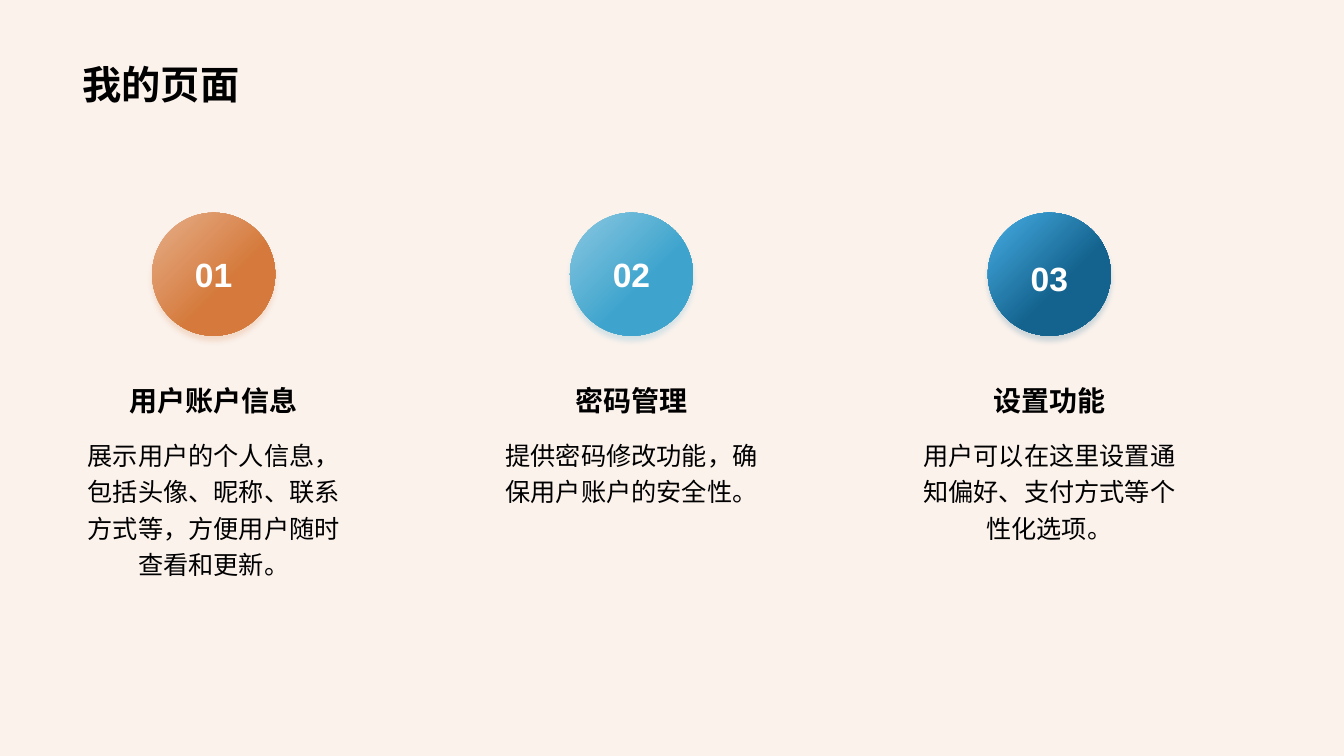
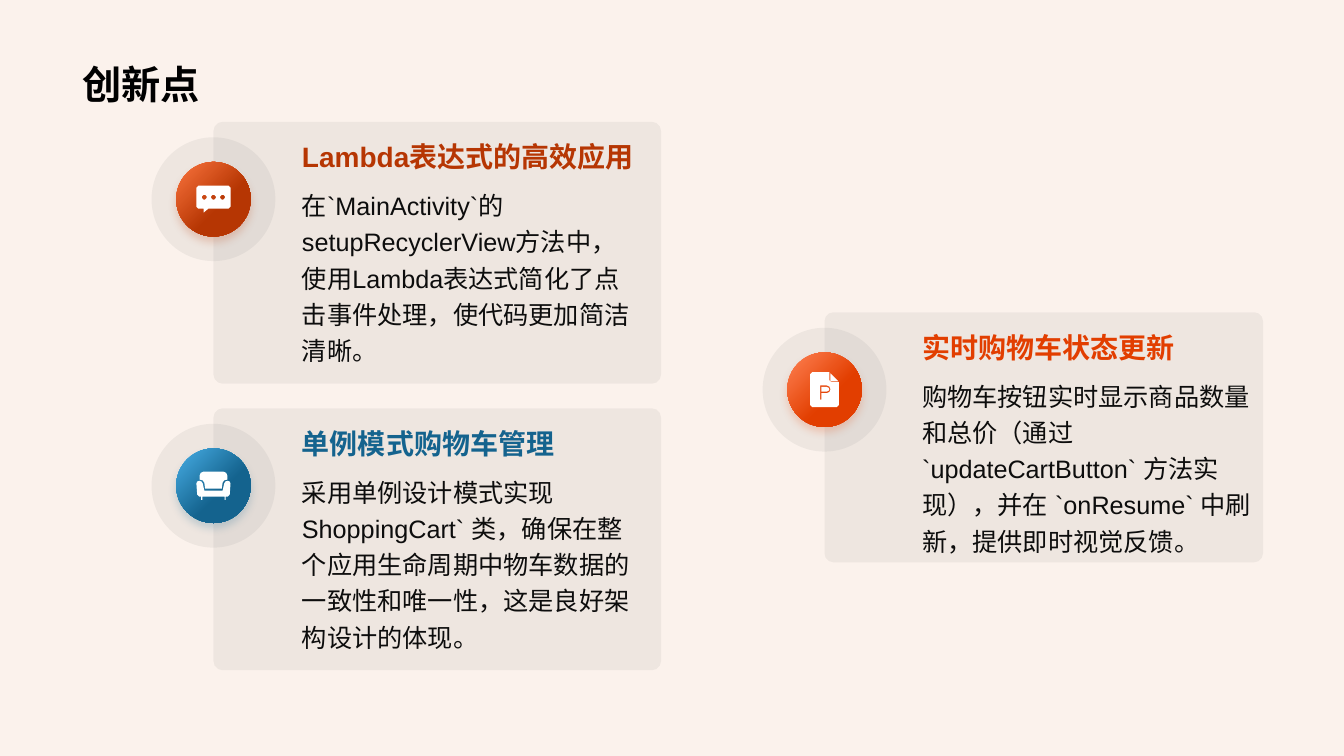
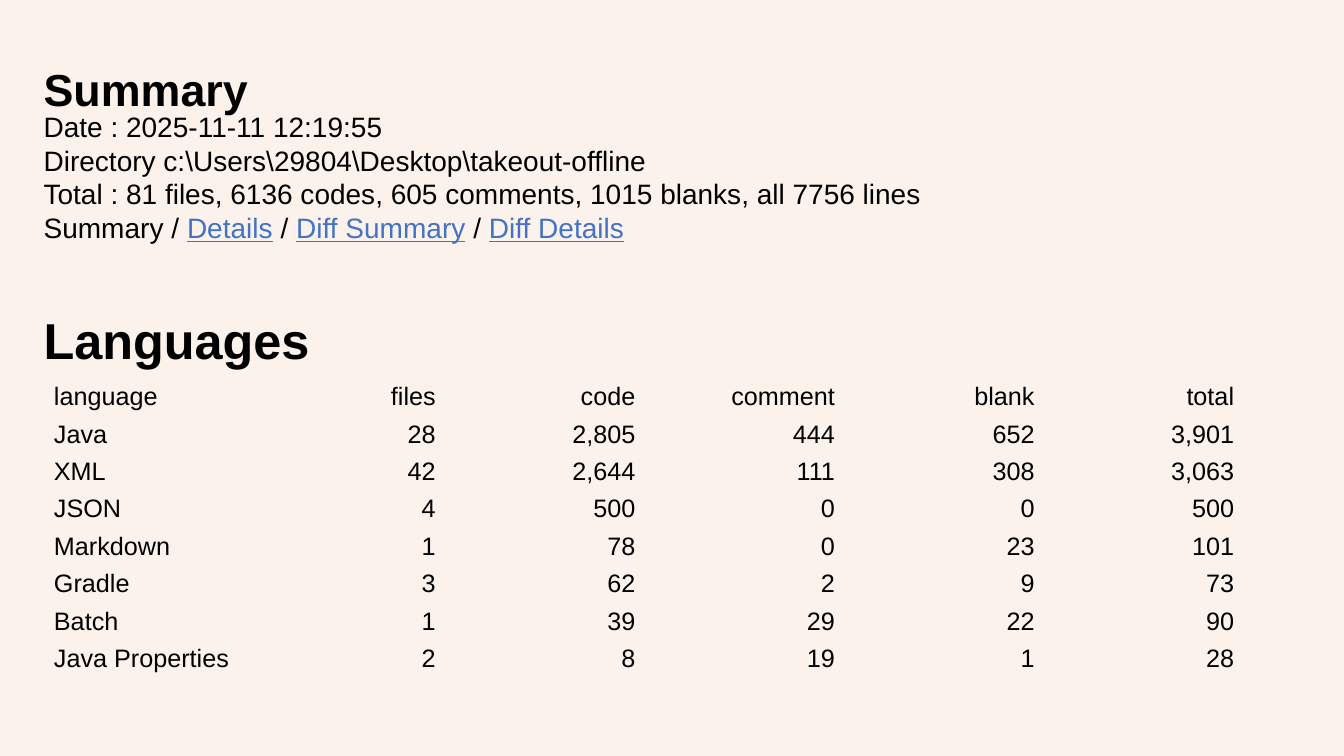
from dataclasses import dataclass
from math import cos, pi, sin

from lxml.etree import SubElement
from pptx import Presentation
from pptx.dml.color import RGBColor
from pptx.enum.lang import MSO_LANGUAGE_ID
from pptx.enum.shapes import MSO_SHAPE
from pptx.enum.text import MSO_ANCHOR, MSO_AUTO_SIZE, PP_ALIGN
from pptx.oxml.ns import qn
from pptx.util import Cm, Pt


@dataclass(frozen=True)
class Theme:
    font: str = "Arial"
    paper: str = "FBF2EC"
    black: str = "000000"
    ink: str = "0D0D0D"
    grey: str = "808080"
    white: str = "FFFFFF"
    link: str = "4472C4"
    sand: tuple = ("E6AF8A", "D57A3C")
    sky: tuple = ("8BC8E1", "3EA4CD")
    navy: tuple = ("48AEE5", "14638E")
    rust: tuple = ("FC753F", "B63603")
    flame: tuple = ("FF8355", "E23E00")
    title: int = 28
    heading: int = 20
    body: int = 18
    number: int = 24
    summary: int = 32
    section: int = 36


THEME = Theme()
NO_GRID_STYLE = "{2D5ABB26-0587-4C30-8999-92F81FD0307C}"
TITLE_BOX = (1.83, 0, 30.18, 2.84)


# Text
def add_span(para, text, size, color=THEME.black, **formats):
    span = para.add_run()
    span.text = text
    formats = {
        "name": THEME.font,
        "size": Pt(size),
        "language_id": MSO_LANGUAGE_ID.SIMPLIFIED_CHINESE,
        **formats,
    }
    for key, value in formats.items():
        setattr(span.font, key, value)
    span.font.color.rgb = RGBColor.from_string(color)
    latin = span.font._element.find(qn("a:latin"))
    east_asian = latin.makeelement(qn("a:ea"), {"typeface": THEME.font})
    latin.addnext(east_asian)


def set_frame(frame, **formats):
    for key, value in {"word_wrap": True, **formats}.items():
        setattr(frame, key, value)


def flush():
    return {f"margin_{side}": 0 for side in ("left", "top", "right", "bottom")}


def add_text(page, box, text, size, color=THEME.black, align=PP_ALIGN.LEFT,
             spacing=1.0, bold=False, **frame_formats):
    shape = page.shapes.add_textbox(*map(Cm, box))
    set_frame(shape.text_frame, **frame_formats)
    para = shape.text_frame.paragraphs[0]
    para.alignment, para.line_spacing = align, spacing
    add_span(para, text, size, color, bold=bold)


def add_titled_page(deck, text, box=TITLE_BOX, size=THEME.title, **frame_formats):
    page = deck.slides.add_slide(deck.slide_layouts[5])
    title = page.shapes.title
    title.left, title.top, title.width, title.height = map(Cm, box)
    set_frame(title.text_frame, **{
        "vertical_anchor": MSO_ANCHOR.BOTTOM,
        "auto_size": MSO_AUTO_SIZE.NONE,
        **frame_formats,
    })
    para = title.text_frame.paragraphs[0]
    para.alignment = PP_ALIGN.LEFT
    add_span(para, text, size, bold=True)
    return page


# Shapes
def add_plain_shape(page, kind, box, color, opacity=100):
    shape = page.shapes.add_shape(kind, *map(Cm, box))
    shape.shadow.inherit = False
    shape.line.fill.background()
    shape.fill.solid()
    shape.fill.fore_color.rgb = RGBColor.from_string(color)
    tint = next(shape.element.iter(qn("a:srgbClr")))
    SubElement(tint, qn("a:alpha"), val=str(opacity * 1000))
    return shape


def circle_box(center_x, center_y, diameter):
    return (center_x - diameter / 2, center_y - diameter / 2, diameter, diameter)


def add_disc(page, center_x, center_y, diameter, colors, blur):
    disc = add_plain_shape(page, MSO_SHAPE.OVAL,
                           circle_box(center_x, center_y, diameter), colors[1])
    disc.fill.gradient()
    disc.fill.gradient_angle = 315
    for stop, color, position in zip(disc.fill.gradient_stops, colors, (0, 0.6)):
        stop.color.rgb = RGBColor.from_string(color)
        stop.position = position
    # Soft shadow straight below, in the dark colour of the disc
    effects = disc.element.spPr.find(qn("a:effectLst"))
    shadow = SubElement(effects, qn("a:outerShdw"), blurRad=str(Pt(blur)),
                        dist=str(Pt(4)), dir="5400000", algn="t", rotWithShape="0")
    tint = SubElement(shadow, qn("a:srgbClr"), val=colors[1])
    SubElement(tint, qn("a:alpha"), val="20000")
    return disc


# Icons: closed outlines in hundredths of a centimetre; inner outlines are holes
def dot(center_x, center_y, radius, sides=16):
    angles = [2 * pi * side / sides for side in range(sides)]
    return [(center_x + radius * cos(angle), center_y + radius * sin(angle))
            for angle in angles]


SPEECH_ICON = [
    [(5, 0), (81, 0), (86, 5), (86, 53), (81, 58), (30, 58), (18, 68), (18, 58),
     (5, 58), (0, 53), (0, 5)],
    *[dot(x, 29, 6) for x in (20, 43, 66)],
]
SOFA_ICON = [
    [(79, 23), (84, 25), (86, 30), (84, 58), (79, 63), (74, 63), (74, 71), (71, 71),
     (71, 63), (15, 63), (15, 71), (12, 71), (12, 63), (7, 63), (2, 58), (0, 30),
     (2, 25), (7, 23), (13, 25), (16, 30), (20, 48), (66, 48), (70, 30), (73, 25)],
    [(68, 0), (75, 3), (78, 10), (78, 20), (70, 22), (66, 28), (64, 43), (22, 43),
     (20, 28), (16, 22), (8, 20), (8, 10), (11, 3), (18, 0)],
]
SHEET_ICON = [
    [(5, 0), (48, 0), (48, 20), (53, 25), (72, 25), (72, 83), (67, 88), (5, 88),
     (0, 83), (0, 5)],
    [(41, 33), (25, 33), (25, 69), (28, 69), (28, 53), (41, 53), (48, 50), (51, 43),
     (48, 36)],
    [(41, 37), (46, 39), (48, 43), (46, 47), (41, 49), (28, 49), (28, 37)],
    [(71, 23), (53, 23), (51, 21), (51, 3)],
]


def add_icon(page, center_x, center_y, outlines):
    width, height = (max(point[axis] for point in outlines[0] + outlines[1]) / 100
                     for axis in (0, 1))
    builder = page.shapes.build_freeform(*outlines[0][0], scale=Cm(0.01))
    for index, outline in enumerate(outlines):
        if index:
            builder.move_to(*outline[0])
        builder.add_line_segments(outline[1:], close=True)
    icon = builder.convert_to_shape(Cm(center_x - width / 2), Cm(center_y - height / 2))
    icon.shadow.inherit = False
    icon.line.fill.background()
    icon.fill.solid()
    icon.fill.fore_color.rgb = RGBColor.from_string(THEME.white)


# Slide 1: numbered columns
def add_column(page, left, top, number, colors, heading, body, number_drop=0):
    width = 7.11
    disc = add_disc(page, left + width / 2, top + 1.55, 3.1, colors, blur=4)
    set_frame(disc.text_frame, vertical_anchor=MSO_ANCHOR.MIDDLE,
              margin_top=Cm(0.13 + 2 * number_drop))
    para = disc.text_frame.paragraphs[0]
    para.alignment = PP_ALIGN.CENTER
    add_span(para, number, THEME.number, THEME.white, bold=True)
    add_text(page, (left, top + 4.16, width, 1.12), heading, THEME.heading,
             align=PP_ALIGN.CENTER, bold=True, vertical_anchor=MSO_ANCHOR.BOTTOM)
    add_text(page, (left, top + 5.46, width, 3.94), body, THEME.body,
             align=PP_ALIGN.CENTER, spacing=1.2)


def build_my_page(deck):
    page = add_titled_page(deck, "我的页面")
    columns = [
        ("01", THEME.sand, "用户账户信息",
         "展示用户的个人信息，包括头像、昵称、联系方式等，方便用户随时查看和更新。"),
        ("02", THEME.sky, "密码管理", "提供密码修改功能，确保用户账户的安全性。"),
        ("03", THEME.navy, "设置功能",
         "用户可以在这里设置通知偏好、支付方式等个性化选项。", 0.1),
    ]
    for index, column in enumerate(columns):
        add_column(page, 1.83 + index * 10.53, 5.36, *column)


# Slide 2: cards with an icon on the left edge
def add_card(page, box, indent, colors, icon, heading, body):
    left, top, width, height = box
    panel = add_plain_shape(page, MSO_SHAPE.ROUNDED_RECTANGLE, box, THEME.ink, 5)
    panel.adjustments[0] = 0.035
    add_text(page, (left + indent, top + 1.45, 8.84, 4.88), body, THEME.body,
             THEME.ink, spacing=1.2)
    add_text(page, (left + indent, top + 0.32, 9.3, 1.1), heading, THEME.heading,
             colors[1], bold=True, vertical_anchor=MSO_ANCHOR.BOTTOM)
    center = (left, top + 1.95)
    add_plain_shape(page, MSO_SHAPE.OVAL, circle_box(*center, 3.12), THEME.grey, 10)
    add_disc(page, *center, 1.88, colors, blur=6)
    add_icon(page, *center, icon)


def build_innovations(deck):
    page = add_titled_page(deck, "创新点")
    cards = [
        ((5.38, 3.07, 11.28, 6.6), 1.98, THEME.rust, SPEECH_ICON,
         "Lambda表达式的高效应用",
         "在`MainActivity`的setupRecyclerView方法中，使用Lambda表达式简化了"
         "点击事件处理，使代码更加简洁清晰。"),
        ((5.38, 10.29, 11.28, 6.6), 1.98, THEME.navy, SOFA_ICON,
         "单例模式购物车管理",
         "采用单例设计模式实现ShoppingCart` 类，确保在整个应用生命周期中"
         "物车数据的一致性和唯一性，这是良好架构设计的体现。"),
        ((20.78, 7.87, 11.05, 6.3), 2.21, THEME.flame, SHEET_ICON,
         "实时购物车状态更新",
         "购物车按钮实时显示商品数量和总价（通过 `updateCartButton` 方法实现），"
         "并在 `onResume` 中刷新，提供即时视觉反馈。"),
    ]
    for card in cards:
        add_card(page, *card)


# Slide 3: code statistics
def add_facts(page, box, lines):
    shape = page.shapes.add_textbox(*map(Cm, box))
    frame = shape.text_frame
    set_frame(frame, **flush())
    for index, line in enumerate(lines):
        para = frame.add_paragraph() if index else frame.paragraphs[0]
        para.line_spacing = Pt(24)
        for text, linked in line:
            add_span(para, text, THEME.heading, THEME.link if linked else THEME.black,
                     underline=linked)


def add_language_table(page, left, top, rows):
    column_width, row_height = 5.03, 0.92
    graphic = page.shapes.add_table(
        len(rows), len(rows[0]), Cm(left), Cm(top),
        Cm(column_width * len(rows[0])), Cm(row_height * len(rows)))
    table = graphic.table
    table.first_row = table.horz_banding = False
    next(graphic.element.iter(qn("a:tableStyleId"))).text = NO_GRID_STYLE
    for row, values in zip(table.rows, rows):
        row.height = Cm(row_height)
        for index, (cell, value) in enumerate(zip(row.cells, values)):
            cell.fill.background()
            cell.vertical_anchor = MSO_ANCHOR.MIDDLE
            cell.margin_left = cell.margin_right = Cm(0.22)
            cell.margin_top = cell.margin_bottom = Cm(0.09)
            para = cell.text_frame.paragraphs[0]
            para.alignment = PP_ALIGN.RIGHT if index else PP_ALIGN.LEFT
            add_span(para, value, THEME.body)


def build_summary(deck):
    left, width = 1.1, 24
    page = add_titled_page(deck, "Summary", (left, 1.55, width, 1.3), THEME.summary,
                           vertical_anchor=MSO_ANCHOR.TOP, **flush())
    add_facts(page, (left, 2.76, width, 3.4), [
        [("Date : 2025-11-11 12:19:55", False)],
        [("Directory c:\\Users\\29804\\Desktop\\takeout-offline", False)],
        [("Total : 81 files, 6136 codes, 605 comments, 1015 blanks, all 7756 lines",
          False)],
        [("Summary / ", False), ("Details", True), (" / ", False),
         ("Diff Summary", True), (" / ", False), ("Diff Details", True)],
    ])
    add_text(page, (left, 7.8, width, 1.5), "Languages", THEME.section, bold=True,
             **flush())
    add_language_table(page, 1.14, 9.53, [
        ("language", "files", "code", "comment", "blank", "total"),
        ("Java", "28", "2,805", "444", "652", "3,901"),
        ("XML", "42", "2,644", "111", "308", "3,063"),
        ("JSON", "4", "500", "0", "0", "500"),
        ("Markdown", "1", "78", "0", "23", "101"),
        ("Gradle", "3", "62", "2", "9", "73"),
        ("Batch", "1", "39", "29", "22", "90"),
        ("Java Properties", "2", "8", "19", "1", "28"),
    ])


def main():
    deck = Presentation()
    deck.slide_width, deck.slide_height = Cm(33.87), Cm(19.05)
    paper = deck.slide_master.background.fill
    paper.solid()
    paper.fore_color.rgb = RGBColor.from_string(THEME.paper)
    for build in (build_my_page, build_innovations, build_summary):
        build(deck)
    deck.save("out.pptx")


if __name__ == "__main__":
    main()
